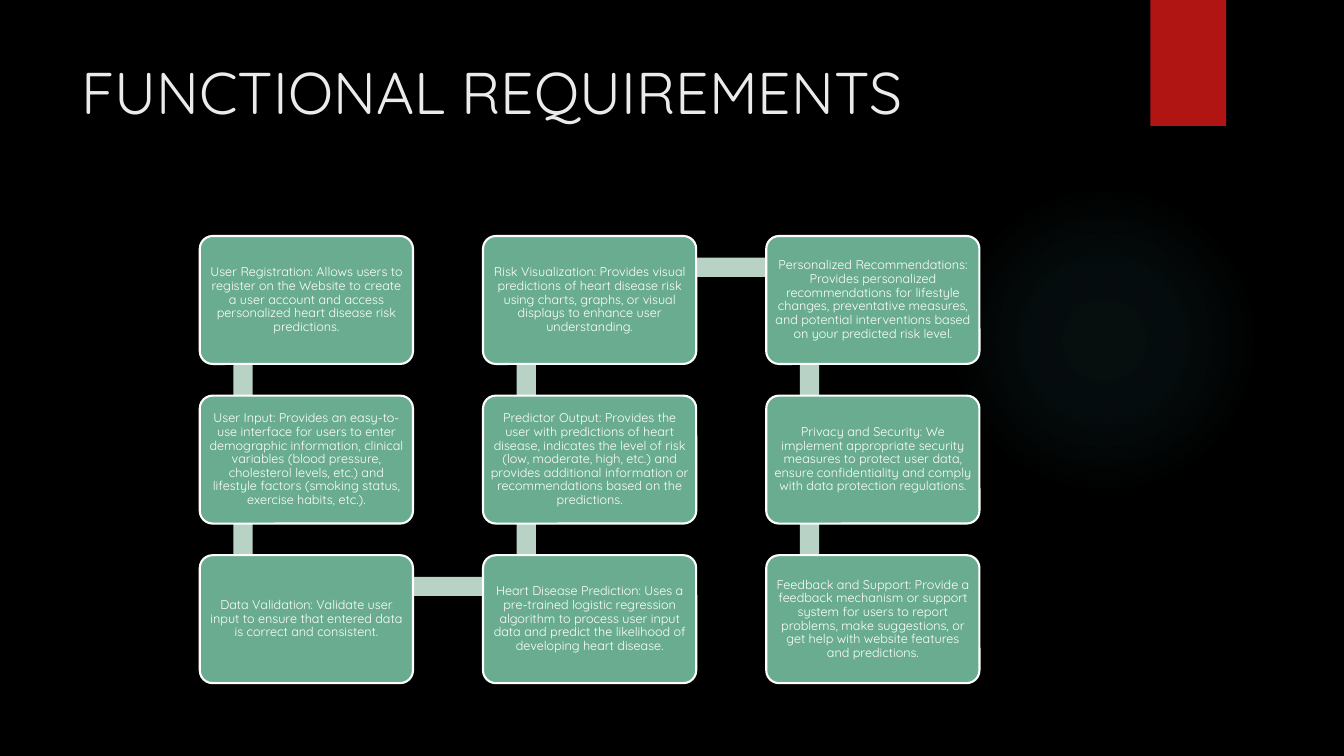
from dataclasses import dataclass
from itertools import pairwise
from lxml import etree
from pptx import Presentation
from pptx.dml.color import RGBColor as RGB
from pptx.enum.shapes import MSO_SHAPE as SHAPE
from pptx.enum.text import MSO_ANCHOR as ANCHOR, PP_ALIGN as ALIGN
from pptx.oxml import parse_xml
from pptx.util import Pt


@dataclass(frozen=True)
class Theme:
    font: str = "Quicksand"
    title_size: int = 42
    body_size: int = 9
    background: str = "000000"
    title: str = "EBEBEB"
    text: str = "FFFFFF"
    box: str = "6AAC90"
    bar: str = "B9D2C6"
    tab: str = "B01513"
    glow: str = "50B9C1"


theme = Theme()


def add_shape(kind, x, y, w, h, color):
    sp = slide.shapes.add_shape(kind, Pt(x), Pt(y), Pt(w), Pt(h))
    sp.shadow.inherit = False
    sp.fill.solid()
    sp.fill.fore_color.rgb = RGB.from_string(color)
    sp.line.fill.background()
    return sp


def format_text(tf, size, color, align):
    tf.word_wrap = True
    for p in tf.paragraphs:
        p.alignment = align
        for r in p.runs:
            r.font.name = theme.font
            r.font.size = Pt(size)
            r.font.color.rgb = RGB.from_string(color)


prs = Presentation()
prs.slide_width, prs.slide_height = Pt(960), Pt(540)
slide = prs.slides.add_slide(prs.slide_layouts[5])
slide.background.fill.solid()
slide.background.fill.fore_color.rgb = RGB.from_string(theme.background)

glow = add_shape(SHAPE.OVAL, 677.5, 131.8, 221.8, 221.8, theme.glow)
stops = "".join(
    f'<a:gs pos="{pos}000"><a:srgbClr val="{theme.glow}"><a:alpha val="{alpha}000"/></a:srgbClr></a:gs>'
    for pos, alpha in [(0, 7), (36, 6), (69, 0)]
)
gradient = parse_xml(
    '<a:gradFill xmlns:a="http://schemas.openxmlformats.org/drawingml/2006/main">'
    f'<a:gsLst>{stops}</a:gsLst><a:path path="circle">'
    '<a:fillToRect l="50000" t="50000" r="50000" b="50000"/></a:path></a:gradFill>'
)
props = glow.element.spPr
solid = next(el for el in props if etree.QName(el).localname == "solidFill")
props.replace(solid, gradient)

add_shape(SHAPE.RECTANGLE, 821.8, 0, 54, 90, theme.tab)

title = slide.shapes.title
title.left, title.top, title.width, title.height = Pt(51), Pt(36), Pt(741), Pt(110)
tf = title.text_frame
tf.text = "FUNCTIONAL REQUIREMENTS"
tf.vertical_anchor = ANCHOR.TOP
format_text(tf, theme.title_size, theme.title, ALIGN.LEFT)

requirements = [
    "User Registration: Allows users to register on the Website to create a user account and access personalized heart disease risk predictions.",
    "User Input: Provides an easy-to-use interface for users to enter demographic information, clinical variables (blood pressure, cholesterol levels, etc.) and lifestyle factors (smoking status, exercise habits, etc.).",
    "Data Validation: Validate user input to ensure that entered data is correct and consistent.",
    "Heart Disease Prediction: Uses a pre-trained logistic regression algorithm to process user input data and predict the likelihood of developing heart disease.",
    "Predictor Output: Provides the user with predictions of heart disease, indicates the level of risk (low, moderate, high, etc.) and provides additional information or recommendations based on the predictions.",
    "Risk Visualization: Provides visual predictions of heart disease risk using charts, graphs, or visual displays to enhance user understanding.",
    "Personalized Recommendations: Provides personalized recommendations for lifestyle changes, preventative measures, and potential interventions based on your predicted risk level.",
    "Privacy and Security: We implement appropriate security measures to protect user data, ensure confidentiality and comply with data protection regulations.",
    "Feedback and Support: Provide a feedback mechanism or support system for users to report problems, make suggestions, or get help with website features and predictions.",
]

rows = 3
left, top = 142.7, 168.6
box_w, box_h = 152.3, 91.4
step_x, step_y = 202.3, 114
bar = 13.7
anchor_x, anchor_y = 30.9, 22.3

corners = []
for i in range(len(requirements)):
    col, row = divmod(i, rows)
    if col % 2:
        row = rows - 1 - row
    corners.append((left + col * step_x, top + row * step_y))

for (x1, y1), (x2, y2) in pairwise(corners):
    x, y = min(x1, x2) + anchor_x, min(y1, y2) + anchor_y
    if x1 == x2:
        add_shape(SHAPE.RECTANGLE, x - bar / 2, y, bar, step_y, theme.bar)
    else:
        add_shape(SHAPE.RECTANGLE, x, y - bar / 2, step_x, bar, theme.bar)

for (x, y), text in zip(corners, requirements):
    sp = add_shape(SHAPE.ROUNDED_RECTANGLE, x, y, box_w, box_h, theme.box)
    sp.adjustments[0] = 0.1
    sp.line.color.rgb = RGB.from_string(theme.text)
    sp.line.width = Pt(1.5)
    tf = sp.text_frame
    tf.text = text
    tf.vertical_anchor = ANCHOR.MIDDLE
    tf.margin_left = tf.margin_right = tf.margin_top = tf.margin_bottom = Pt(2.7)
    tf.paragraphs[0].line_spacing = 0.9
    format_text(tf, theme.body_size, theme.text, ALIGN.CENTER)

prs.save("out.pptx")
